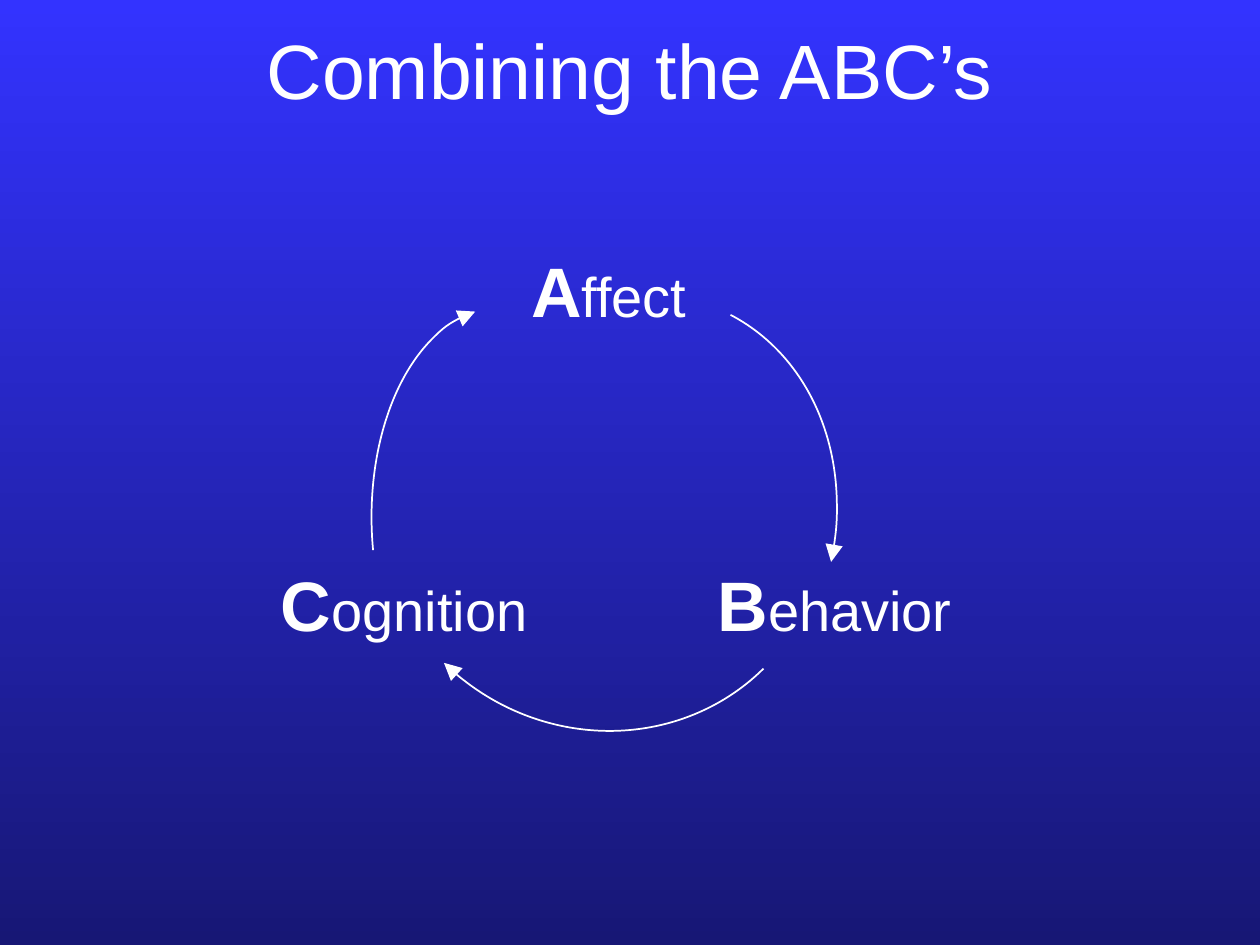
from lxml import etree
from pptx import Presentation
from pptx.dml.color import RGBColor
from pptx.enum.shapes import MSO_SHAPE
from pptx.enum.text import MSO_ANCHOR, PP_ALIGN
from pptx.oxml.ns import qn
from pptx.util import Pt

ARC = MSO_SHAPE.ARC
CENTER = PP_ALIGN.CENTER
MIDDLE = MSO_ANCHOR.MIDDLE
WHITE = "FFFFFF"
FONT = "Arial"
LABEL_HEIGHT = 55.4
ADJUSTMENT_PER_DEGREE = 0.6
LABELS = [
    ("A", "ffect", 150, 0, 180),
    ("B", "ehavior", 246, 179.3, 246),
    ("C", "ognition", 0, 179.3, 246),
]
ARROWS = [
    ((126, 26.7, 240.5, 281.5), 24.5, 272.2, 342.8),
    ((108.7, 19.5, 252, 263.5), 307.9, 96.8, 187),
    ((56.2, 85.7, 252, 155.5), 87.2, 83.4, 174.2),
]


def color(hex_value):
    """Return the colour for a hex string."""
    return RGBColor.from_string(hex_value)


def style_paragraph(paragraph, size):
    """Centre a paragraph and set its font."""
    paragraph.alignment = CENTER
    paragraph.font.name = FONT
    paragraph.font.size = Pt(size)
    paragraph.font.color.rgb = color(WHITE)


def paint_background(slide, top_color, bottom_color):
    """Fill the slide with a gradient running from top to bottom."""
    fill = slide.background.fill
    fill.gradient()
    fill.gradient_angle = 270
    for stop, hex_value in zip(fill.gradient_stops, (top_color, bottom_color)):
        stop.color.rgb = color(hex_value)


def place_title(slide, text, left, top, width, height):
    """Place the slide title in the given box."""
    title = slide.shapes.title
    title.left, title.top = Pt(left), Pt(top)
    title.width, title.height = Pt(width), Pt(height)
    title.text_frame.text = text
    title.text_frame.vertical_anchor = MIDDLE
    style_paragraph(title.text_frame.paragraphs[0], 44)


def add_label(shapes, initial, rest, left, top, width):
    """Add a word with a large bold initial."""
    label = shapes.add_textbox(Pt(left), Pt(top), Pt(width), Pt(LABEL_HEIGHT))
    label.text_frame.word_wrap = True
    paragraph = label.text_frame.paragraphs[0]
    style_paragraph(paragraph, 32)
    paragraph.space_before = Pt(4)
    initial_run = paragraph.add_run()
    initial_run.text = initial
    initial_run.font.size = Pt(40)
    initial_run.font.bold = True
    paragraph.add_run().text = rest


def add_curved_arrow(shapes, left, top, width, height, rotation, angles):
    """Add a rotated arc with an arrowhead at its end."""
    arrow = shapes.add_shape(ARC, Pt(left), Pt(top), Pt(width), Pt(height))
    arrow.rotation = rotation
    for index, angle in enumerate(angles):
        arrow.adjustments[index] = angle * ADJUSTMENT_PER_DEGREE
    arrow.shadow.inherit = False
    arrow.fill.background()
    arrow.line.color.rgb = color(WHITE)
    arrow.line.width = Pt(1)
    outline = arrow.element.spPr.find(qn("a:ln"))
    etree.SubElement(outline, qn("a:tailEnd"), type="triangle", w="lg", len="lg")


def add_cycle(slide, left, top):
    """Add three labels, each followed by the arrow to the next one."""
    shapes = slide.shapes.add_group_shape().shapes
    for label, arrow in zip(LABELS, ARROWS):
        initial, rest, x, y, label_width = label
        add_label(shapes, initial, rest, left + x, top + y, label_width)
        (x, y, width, height), rotation, *angles = arrow
        add_curved_arrow(shapes, left + x, top + y, width, height, rotation, angles)


def main():
    """Build the slide and save it."""
    presentation = Presentation()
    presentation.slide_width, presentation.slide_height = Pt(720), Pt(540)
    slide = presentation.slides.add_slide(presentation.slide_layouts[5])
    paint_background(slide, "3333FF", "171775")
    place_title(slide, "Combining the ABC’s", 54, 12.24, 612, 54)
    add_cycle(slide, 108, 138.2)
    presentation.save("out.pptx")


if __name__ == "__main__":
    main()
